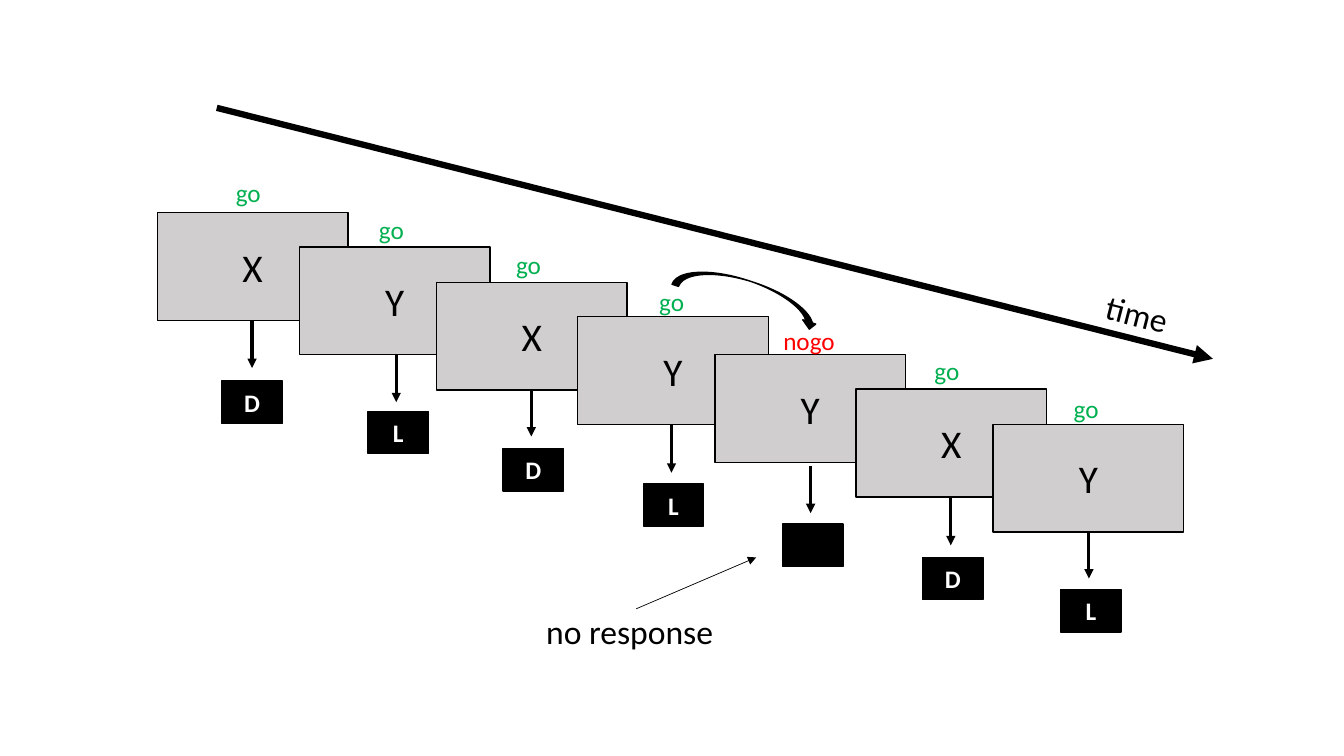
from lxml.etree import SubElement
from pptx import Presentation
from pptx.dml.color import RGBColor
from pptx.enum.shapes import MSO_CONNECTOR, MSO_SHAPE
from pptx.enum.text import MSO_ANCHOR, PP_ALIGN
from pptx.oxml.ns import qn
from pptx.util import Pt

# Content: stimulus, cue, reply, then corners of card, cue, arrow and reply box
TRIALS = [
    ("X", "go", "D", (156, 211), (224, 171), (250, 318), (220, 378)),
    ("Y", "go", "L", (297, 245), (366, 208), (393, 352), (365, 408)),
    ("X", "go", "D", (433, 280), (502, 242), (527, 386), (499, 445)),
    ("Y", "go", "L", (573, 314), (644, 279), (666, 422), (638, 480)),
    ("Y", "nogo", "", (709, 352), (767, 318), (804, 462), (776, 520)),
    ("X", "go", "D", (849, 386), (917, 348), (943, 494), (915, 553)),
    ("Y", "go", "L", (985, 421), (1055, 385), (1080, 527), (1052, 585)),
]
AXIS = ((215, 107), (1203, 356))
NOTE = ((631, 604), (750, 553))
SWITCH = (667, 279, 150, 27)
TIME = ("time", (1085, 303, 219, 50))
MISS = ("no response", (472, 601, 305, 50))

# Sizes and theme
PX = 9144  # 100 px to the inch
WIDE, HIGH = 1333, 750
CARD = (189, 107)
BOX = (60, 42)
CUE = {"go": (53, 40), "nogo": (75, 40)}
DROP = 47
THEME = {
    "font": "Calibri", "ink": "000000", "card": "D0CECE", "white": "FFFFFF",
    "go": "00B050", "nogo": "FF0000",
    "stim": 28, "label": 24, "small": 18,
    "edge": 1, "axis": 4.5, "arrow": 2.25, "thin": 0.5,
}


def tint(name):
    return RGBColor.from_string(THEME[name])


def emu(nums):
    return [n * PX for n in nums]


def write(shape, text, size, color, align=PP_ALIGN.CENTER, bold=False):
    frame = shape.text_frame
    frame.word_wrap = True
    para = frame.paragraphs[0]
    para.alignment = align
    run = para.add_run()
    run.text = text
    form = {"name": THEME["font"], "size": Pt(THEME[size]), "bold": bold}
    for key, val in form.items():
        setattr(run.font, key, val)
    run.font.color.rgb = tint(color)


def block(kind, area, fill):
    shape = slide.shapes.add_shape(kind, *emu(area))
    shape.shadow.inherit = False
    shape.fill.solid()
    shape.fill.fore_color.rgb = tint(fill)
    shape.line.color.rgb = tint("ink")
    shape.line.width = Pt(THEME["edge"])
    shape.text_frame.vertical_anchor = MSO_ANCHOR.MIDDLE
    return shape


def label(text, area, size, color, align=PP_ALIGN.LEFT):
    shape = slide.shapes.add_textbox(*emu(area))
    write(shape, text, size, color, align)
    return shape


def arrow(start, end, width):
    line = slide.shapes.add_connector(MSO_CONNECTOR.STRAIGHT, *emu(start + end))
    line.line.color.rgb = tint("ink")
    line.line.width = Pt(THEME[width])
    SubElement(line.line._get_or_add_ln(), qn("a:tailEnd"), type="triangle")
    SubElement(line._element.spPr, qn("a:effectLst"))


deck = Presentation()
deck.slide_width, deck.slide_height = emu((WIDE, HIGH))
slide = deck.slides.add_slide(deck.slide_layouts[6])

# Overlapping stimulus cards
for stim, _, _, card, *_ in TRIALS:
    write(block(MSO_SHAPE.RECTANGLE, card + CARD, "card"), stim, "stim", "ink")

# Time axis
arrow(*AXIS, "axis")
label(*TIME, "label", "ink").rotation = 14.5

# Cues and replies
for _, cue, reply, _, spot, (x, y), box in TRIALS:
    arrow((x, y), (x, y + DROP), "arrow")
    shape = block(MSO_SHAPE.RECTANGLE, box + BOX, "ink")
    if reply:
        write(shape, reply, "small", "white", bold=True)
    label(cue, spot + CUE[cue], "small", cue)

# Switch from go to nogo, and the missing response
block(MSO_SHAPE.CURVED_DOWN_ARROW, SWITCH, "ink").rotation = 18.1
arrow(*NOTE, "thin")
label(*MISS, "label", "ink", PP_ALIGN.CENTER)

deck.save("out.pptx")
